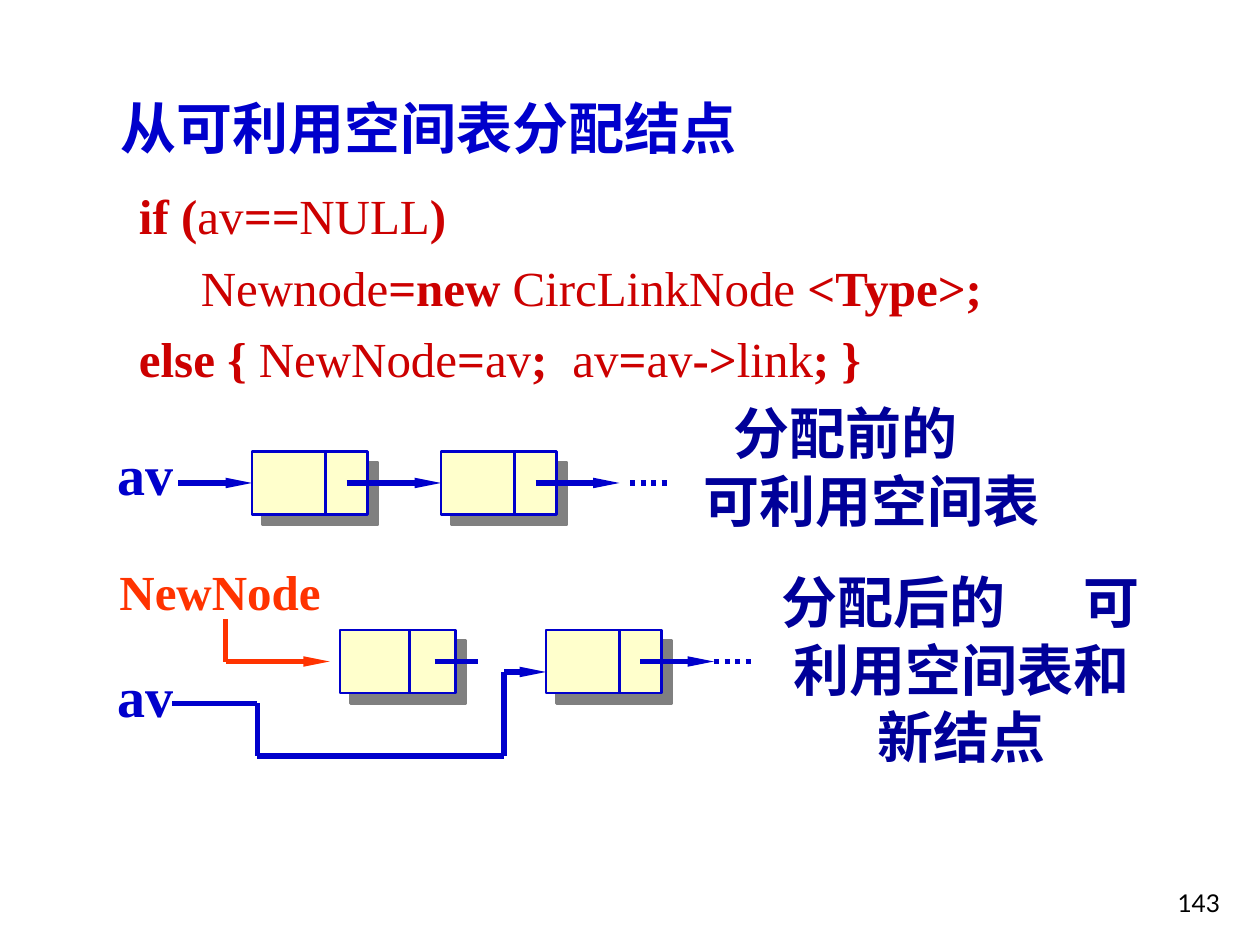
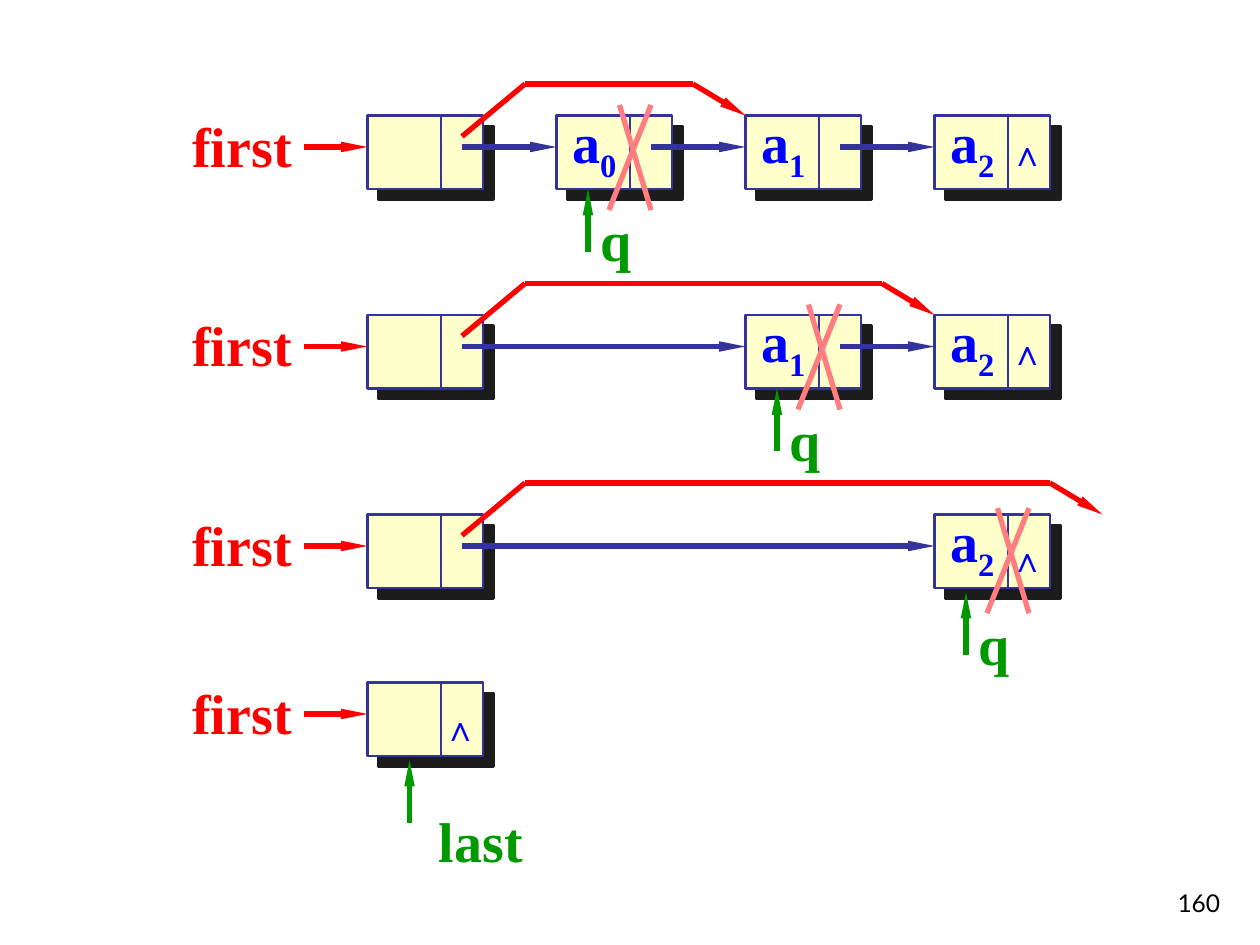
from lxml import etree
from pptx import Presentation
from pptx.dml.color import RGBColor
from pptx.enum.dml import MSO_LINE
from pptx.enum.shapes import MSO_CONNECTOR, MSO_SHAPE
from pptx.enum.text import MSO_ANCHOR, MSO_AUTO_SIZE, PP_ALIGN
from pptx.oxml.ns import qn
from pptx.util import Inches, Pt

LEFT, CENTER, RIGHT = PP_ALIGN.LEFT, PP_ALIGN.CENTER, PP_ALIGN.RIGHT
TOP, MIDDLE, BOTTOM = MSO_ANCHOR.TOP, MSO_ANCHOR.MIDDLE, MSO_ANCHOR.BOTTOM
GROW, NO_GROW = MSO_AUTO_SIZE.SHAPE_TO_FIT_TEXT, MSO_AUTO_SIZE.NONE
STRAIGHT, RECT = MSO_CONNECTOR.STRAIGHT, MSO_SHAPE.RECTANGLE
DOTS = MSO_LINE.ROUND_DOT

BLACK = RGBColor(0x00, 0x00, 0x00)
CREAM = RGBColor(0xFF, 0xFF, 0xCC)
BLUE = RGBColor(0x00, 0x00, 0xCC)
NAVY = RGBColor(0x00, 0x00, 0x99)
CODE_RED = RGBColor(0xCC, 0x00, 0x00)
ORANGE = RGBColor(0xFF, 0x33, 0x00)
GREY = RGBColor(0x80, 0x80, 0x80)
INDIGO = RGBColor(0x33, 0x33, 0x99)
CHARCOAL = RGBColor(0x1C, 0x1C, 0x1C)
RED = RGBColor(0xFF, 0x00, 0x00)
GREEN = RGBColor(0x00, 0x99, 0x00)
PINK = RGBColor(0xFF, 0x7C, 0x80)
BRIGHT_BLUE = RGBColor(0x00, 0x00, 0xFF)

SERIF, SANS = "Times New Roman", "Lato"
NODE_W, SPLIT, LINK_X = 11, 7, 9    # node width, divider and link start


def grid(n):
    """The slide is a grid of 120 columns by 90 rows, 12 to the inch."""
    return Inches(n / 12)


def sub(parent, tag, **attrs):
    return etree.SubElement(parent, qn(tag), attrs)


# ---- text ----
def text_box(s, box, lines, color, size=32, align=LEFT, anchor=TOP,
             wrap=False, auto=GROW, font=SERIF, bold=True):
    sp = s.shapes.add_textbox(*map(grid, box))
    tf = sp.text_frame
    tf.word_wrap, tf.auto_size, tf.vertical_anchor = wrap, auto, anchor
    for i, line_text in enumerate(lines):
        p = tf.paragraphs[0] if i == 0 else tf.add_paragraph()
        p.text, p.alignment = line_text, align
        f = p.runs[0].font
        f.name, f.size, f.bold, f.color.rgb = font, Pt(size), bold, color
    if bold:
        space_before(tf.paragraphs[0])
    return tf


def space_before(p):
    sub(sub(p._p.get_or_add_pPr(), "a:spcBef"), "a:spcPct", val="20000")


def indent(p, inches):
    p._p.get_or_add_pPr().set("marL", str(Inches(inches)))


def tab_stop(p, inches):
    tabs = sub(p._p.get_or_add_pPr(), "a:tabLst")
    sub(tabs, "a:tab", pos=str(Inches(inches)), algn="l")


def wide_margins(tf):
    tf.margin_left = tf.margin_right = Inches(0.12)
    tf.margin_top = tf.margin_bottom = Inches(0.06)


def page_number(s, number):
    text_box(s, (92.4, 82, 25, 6), [number], BLACK, 14, RIGHT, BOTTOM,
             wrap=True, auto=NO_GROW, font=SANS, bold=False)


# ---- lines and nodes ----
def line(s, start, end, color, width=3, arrow=False, dash=None):
    c = s.shapes.add_connector(STRAIGHT, *map(grid, (*start, *end)))
    c.line.color.rgb, c.line.width = color, Pt(width)
    if dash:
        c.line.dash_style = dash
    if arrow:
        sub(c.line._get_or_add_ln(), "a:tailEnd", type="triangle", w="sm", len="lg")
    sub(c._element.spPr, "a:effectLst")
    return c


def route(s, points, color, arrow=True):
    """A bent line whose last leg carries the arrowhead."""
    for start, end in zip(points, points[1:]):
        line(s, start, end, color, arrow=arrow and end == points[-1])


def node(s, x, y, height, color, shadow, split=SPLIT):
    sp = s.shapes.add_shape(RECT, *map(grid, (x, y, NODE_W, height)))
    sp.fill.solid()
    sp.fill.fore_color.rgb = CREAM
    sp.line.color.rgb, sp.line.width = color, Pt(1.5)
    sp.shadow.inherit = False
    effects = sp._element.spPr.find(qn("a:effectLst"))
    cast = sub(effects, "a:outerShdw", dist=str(Pt(8.5)), dir="2700000",
               algn="ctr", rotWithShape="0")
    sub(cast, "a:srgbClr", val=str(shadow))
    line(s, (x + split, y), (x + split, y + height), color, 1.5)
    return sp


# ---- slide 1: taking a node from the free list ----
def code_block(s, box):
    """Text between asterisks is bold."""
    tf = text_box(s, box, [], CODE_RED, wrap=True)
    wide_margins(tf)
    code = ["*if (*av*==*NULL*)*",
            "Newnode*=new *CircLinkNode *<Type>;*",
            "*else { *NewNode*=*av*;\t*av*=*av*->*link*; }*"]
    for i, marked in enumerate(code):
        p = tf.paragraphs[0] if i == 0 else tf.add_paragraph()
        for j, part in enumerate(marked.split("*")):
            if part:
                r = p.add_run()
                r.text = part
                f = r.font
                f.name, f.size, f.color.rgb = SERIF, Pt(28), CODE_RED
                f.bold, f.italic = j % 2 == 1, part == "=="
        if i:
            space_before(p)
        p.line_spacing = 1.05
    indent(tf.paragraphs[1], 0.49)
    tab_stop(tf.paragraphs[2], 3.44)


def list_before(s, x, y):
    mid = y + 3
    first, second = [node(s, x + dx, y, 6, BLUE, GREY) for dx in (14, 32)]
    text_box(s, (x, y - 1.7, 7.8, 7.6), ["av"], BLUE)
    line(s, (x + 7, mid), (x + 14, mid), BLUE, arrow=True).end_connect(first, 1)
    line(s, (x + 23, mid), (x + 32, mid), BLUE, arrow=True).end_connect(second, 1)
    line(s, (x + 41, mid), (x + 49, mid), BLUE, arrow=True)
    line(s, (x + 50, mid), (x + 54, mid), BLUE, dash=DOTS)
    tf = text_box(s, (x + 55.6, y - 5.6, 35, 14), ["分配前的", "可利用空间表"],
                  NAVY, wrap=True)
    indent(tf.paragraphs[0], 0.26)
    indent(tf.paragraphs[1], 0.02)


def list_after(s, x, y):
    mid = y + 3
    node(s, x + 22.4, y, 6, BLUE, GREY, 6.6)
    node(s, x + 42, y, 6, BLUE, GREY)
    line(s, (x + 31.4, mid), (x + 35.5, mid), BLUE)
    line(s, (x + 51, mid), (x + 58, mid), BLUE, arrow=True)
    line(s, (x + 58, mid), (x + 62, mid), BLUE, dash=DOTS)
    text_box(s, (x + 0.2, y - 7.1, 21.6, 6.8), ["NewNode"], ORANGE, 28)
    route(s, [(x + 11.5, y - 1), (x + 11.5, mid), (x + 21.4, mid)], ORANGE)
    text_box(s, (x, y + 2.4, 7.8, 7.6), ["av"], BLUE)
    route(s, [(x + 6.4, y + 7), (x + 14.5, y + 7), (x + 14.5, y + 12),
              (x + 38, y + 12), (x + 38, y + 4), (x + 42, y + 4)], BLUE)
    tf = text_box(s, (x + 63.2, y - 6.5, 36.8, 20.6),
                  ["分配后的\t可", "利用空间表和", "新结点"], NAVY,
                  align=CENTER, wrap=True)
    tf.paragraphs[0].alignment = LEFT
    tab_stop(tf.paragraphs[0], 2.4)


def allocation_slide(prs):
    s = prs.slides.add_slide(prs.slide_layouts[6])
    page_number(s, "143")
    wide_margins(text_box(s, (10, 8.2, 63.6, 7.9), ["从可利用空间表分配结点"],
                          BLUE, wrap=True))
    code_block(s, (11.8, 16.7, 89.8, 21.6))
    list_before(s, 10, 43)
    list_after(s, 10, 60)


# ---- slide 2: removing the nodes of a list one by one ----
HEAD_X, PITCH = 35, 18


def up_arrow(s, x, y):
    line(s, (x, y + 13), (x, y + 7), GREEN, arrow=True)


def removal_mark(s, x, y):
    line(s, (x + 9, y - 1), (x + 5, y + 9), PINK)
    line(s, (x + 6, y - 1), (x + 9, y + 9), PINK)
    up_arrow(s, x + 3, y)
    text_box(s, (x + 3, y + 8, 5.4, 7.6), ["q"], GREEN, align=CENTER, anchor=MIDDLE)


def data_label(s, x, y, index):
    tf = text_box(s, (x + 0.1, y - 1, 7, 7.7), ["a"], BRIGHT_BLUE,
                  align=CENTER, anchor=MIDDLE)
    r = tf.paragraphs[0].add_run()
    r.text = str(index)
    r.font.name, r.font.size, r.font.bold = SERIF, Pt(32), True
    r.font.color.rgb = BRIGHT_BLUE
    r._r.get_or_add_rPr().set("baseline", "-25000")


def chain(s, y, kept, bypass_end=None, nudge=0, null_y=0.9):
    """One state of the list: the head and the data nodes still in it."""
    mid = y + 3
    xs = [HEAD_X] + [HEAD_X + PITCH * (i + 1) for i in kept]
    for x in xs:
        node(s, x, y, 7, INDIGO, CHARCOAL)
    for x, following in zip(xs, xs[1:]):
        line(s, (x + LINK_X, mid), (following, mid), INDIGO, arrow=True)
    text_box(s, (17.1, y - 1, 11.9, 7.6), ["first"], RED, align=CENTER, anchor=MIDDLE)
    line(s, (29, mid), (HEAD_X, mid), RED, arrow=True)
    if kept:
        route(s, [(HEAD_X + LINK_X, y + 2), (HEAD_X + 15, y - 3),
                  (bypass_end - 5, y - 3), (bypass_end, y)], RED)
        removal_mark(s, xs[1], y + nudge)
    for index, x in zip(kept, xs[1:]):
        data_label(s, x, y, index)
    text_box(s, (xs[-1] + 6, y + null_y, 5.7, 5.2), ["∧"], BRIGHT_BLUE, 20)


def removal_slide(prs):
    s = prs.slides.add_slide(prs.slide_layouts[6])
    page_number(s, "160")
    chain(s, 11, [0, 1, 2], bypass_end=71)
    chain(s, 30, [1, 2], bypass_end=89)
    chain(s, 49, [2], bypass_end=105, nudge=0.4, null_y=1.6)
    chain(s, 65, [], null_y=1.7)
    up_arrow(s, HEAD_X + 4, 65.4)
    text_box(s, (39.2, 76.2, 13.2, 7.6), ["last"], GREEN, align=CENTER,
             anchor=MIDDLE, wrap=True)


def main():
    prs = Presentation()
    prs.slide_width, prs.slide_height = Inches(10), Inches(7.5)
    allocation_slide(prs)
    removal_slide(prs)
    prs.save("out.pptx")


if __name__ == "__main__":
    main()
